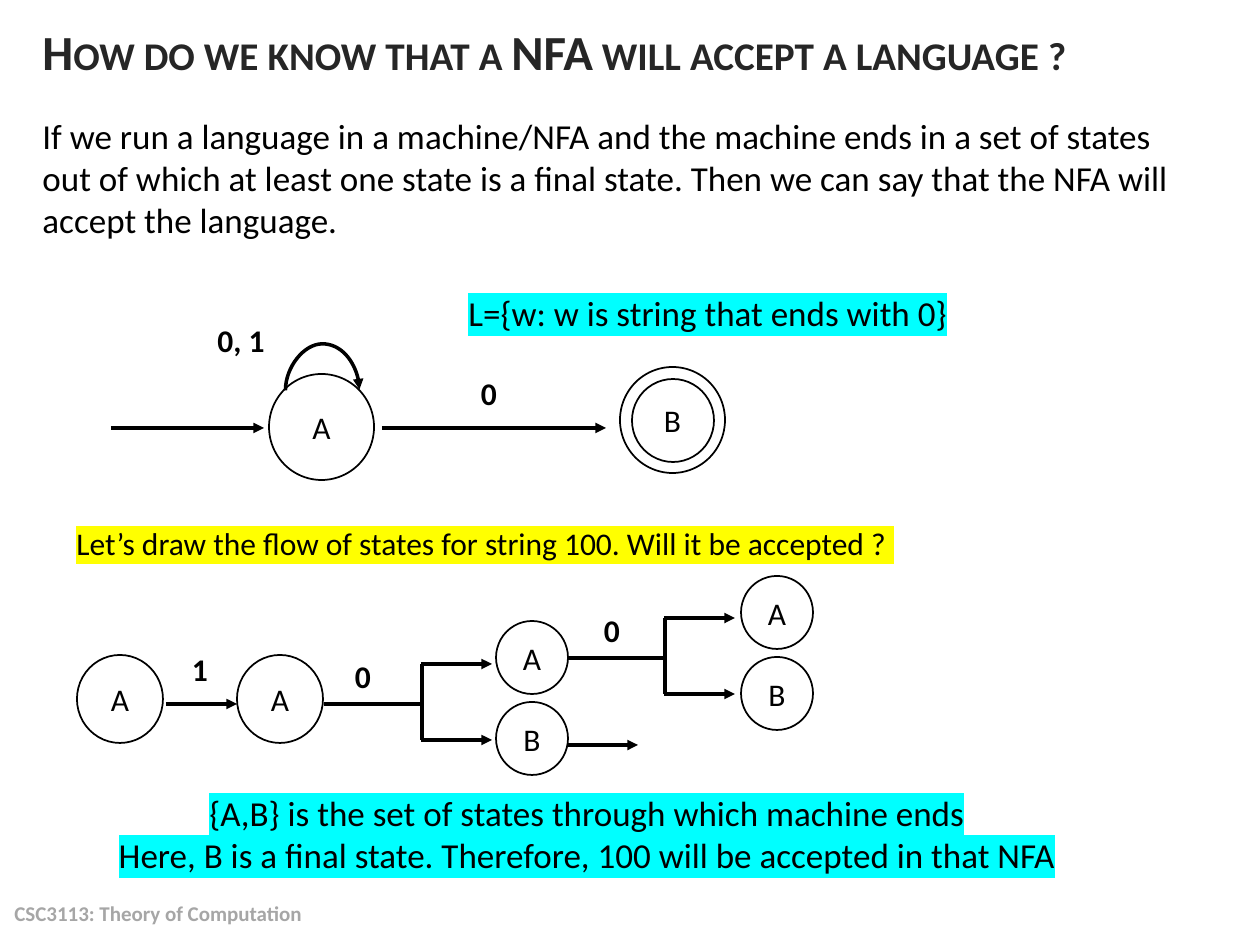
from lxml.etree import SubElement
from pptx import Presentation
from pptx.dml.color import RGBColor
from pptx.enum.shapes import MSO_CONNECTOR, MSO_SHAPE
from pptx.enum.text import MSO_ANCHOR, PP_ALIGN
from pptx.oxml.ns import qn
from pptx.util import Pt

PX = 914400 / 126
FONT = "Calibri"
COLORS = {
    "ink": "000000",
    "title": "262626",
    "footer": "A6A6A6",
    "paper": "FFFFFF",
    "cyan": "00FFFF",
    "yellow": "FFFF00",
}


def px(n):
    return round(n * PX)


def color(name):
    return RGBColor.from_string(COLORS[name])


def add_run(p, text, size, ink="ink", bold=False, highlight=None, small_caps=False):
    r = p.add_run()
    r.text = text
    r.font.size = Pt(size)
    r.font.bold = bold
    r.font.color.rgb = color(ink)
    rPr = r.font._element
    if small_caps:
        rPr.set("cap", "small")
    if highlight:
        mark = SubElement(rPr, qn("a:highlight"))
        SubElement(mark, qn("a:srgbClr")).set("val", COLORS[highlight])
    r.font.name = FONT


def add_text(s, box, lines, size, wrap=True, anchor=MSO_ANCHOR.TOP,
             align=PP_ALIGN.LEFT, **style):
    tf = s.shapes.add_textbox(*map(px, box)).text_frame
    tf.word_wrap = wrap
    tf.vertical_anchor = anchor
    for i, line in enumerate(lines):
        p = tf.add_paragraph() if i else tf.paragraphs[0]
        p.alignment = align
        add_run(p, line, size, **style)


def add_centred(s, kind, box, text, bold=False):
    sp = s.shapes.add_shape(kind, *map(px, box))
    sp.shadow.inherit = False
    tf = sp.text_frame
    tf.margin_left = tf.margin_right = tf.margin_top = tf.margin_bottom = 0
    tf.word_wrap = False
    tf.vertical_anchor = MSO_ANCHOR.MIDDLE
    if text:
        p = tf.paragraphs[0]
        p.alignment = PP_ALIGN.CENTER
        add_run(p, text, 18, bold=bold)
    return sp


def add_state(s, x, y, w, h, name=""):
    sp = add_centred(s, MSO_SHAPE.OVAL, (x, y, w, h), name)
    sp.fill.background()
    sp.line.color.rgb = color("ink")
    sp.line.width = Pt(1)


def add_label(s, x, y, w, h, text):
    sp = add_centred(s, MSO_SHAPE.ROUNDED_RECTANGLE, (x, y, w, h), text, bold=True)
    sp.fill.solid()
    sp.fill.fore_color.rgb = color("paper")
    sp.line.color.rgb = color("paper")
    sp.line.width = Pt(2)


def add_line(s, x1, y1, x2, y2, arrow=True, kind=MSO_CONNECTOR.STRAIGHT):
    c = s.shapes.add_connector(kind, px(x1), px(y1), px(x2), px(y2))
    c.line.color.rgb = color("ink")
    c.line.width = Pt(2)
    if arrow:
        SubElement(c.line._get_or_add_ln(), qn("a:tailEnd")).set("type", "triangle")
    SubElement(c._element.spPr, qn("a:effectLst"))
    return c


def add_self_loop(s, cx, cy, span, rise):
    # A one-pixel-wide curve turned a quarter, so its bend rises above the state
    c = add_line(s, cx + 1, cy + span // 2, cx, cy - span // 2,
                 kind=MSO_CONNECTOR.CURVE)
    spPr = c._element.spPr
    spPr.find(qn("a:xfrm")).set("rot", str(90 * 60000))
    geom = spPr.find(qn("a:prstGeom"))
    av = geom.find(qn("a:avLst"))
    if av is None:
        av = SubElement(geom, qn("a:avLst"))
    gd = SubElement(av, qn("a:gd"))
    gd.set("name", "adj1")
    gd.set("fmla", f"val {rise * 100000}")


def add_fork(s, x, y):
    # Stem that splits into an upper and a lower arrow
    split, top, bottom = x + 98, y - 40, y + 36
    add_line(s, x, y, split, y, arrow=False)
    add_line(s, split, top, split, bottom, arrow=False)
    for branch in (top, bottom):
        add_line(s, split - 1, branch, split + 70, branch)


def main():
    prs = Presentation()
    prs.slide_width, prs.slide_height = px(1260), px(945)
    s = prs.slides.add_slide(prs.slide_layouts[6])

    # Footer, title and explanation
    add_text(s, (2, 888, 844, 50), ["CSC3113: Theory of Computation"], 12,
             anchor=MSO_ANCHOR.MIDDLE, ink="footer", bold=True)
    add_text(s, (30, 3, 1217, 96),
             ["How do we know that a NFA will accept a language ?"], 28,
             anchor=MSO_ANCHOR.MIDDLE, ink="title", bold=True, small_caps=True)
    add_text(s, (30, 108, 1177, 140),
             ["If we run a language in a machine/NFA and the machine ends in a set "
              "of states out of which at least one state is a final state. Then we "
              "can say that the NFA will accept the language."], 20)

    # The NFA: state A loops, final state B has a double ring
    add_line(s, 111, 428, 264, 428)
    add_state(s, 269, 374, 105, 106, "A")
    add_self_loop(s, 322, 390, 74, 47)
    add_state(s, 620, 367, 105, 106, "B")
    add_state(s, 632, 379, 82, 83)
    add_line(s, 382, 428, 606, 428)
    add_label(s, 200, 314, 82, 52, "0, 1")
    add_label(s, 448, 367, 82, 52, "0")

    # Language and question
    add_text(s, (456, 285, 508, 55), ["L={w: w is string that ends with 0}"], 20,
             wrap=False, highlight="cyan")
    add_text(s, (64, 518, 845, 50),
             ["Let’s draw the flow of states for string 100. Will it be accepted ? "],
             18, wrap=False, highlight="yellow")

    # Flow of states for 100
    for x in (77, 237):
        add_state(s, x, 655, 86, 88, "A")
    for x, y in ((496, 621), (741, 576)):
        add_state(s, x, y, 72, 73, "A")
        add_state(s, x, y + 81, 72, 73, "B")
    add_line(s, 166, 704, 237, 704)
    add_fork(s, 324, 704)
    add_fork(s, 567, 658)
    add_line(s, 567, 745, 638, 745)
    for x, y, symbol in ((175, 647, "1"), (338, 654, "0"), (587, 608, "0")):
        add_label(s, x, y, 50, 43, symbol)

    # Conclusion
    add_text(s, (81, 785, 1012, 97),
             ["{A,B} is the set of states through which machine ends",
              "Here, B is a final state. Therefore, 100 will be accepted in that NFA"],
             20, align=PP_ALIGN.CENTER, highlight="cyan")

    prs.save("out.pptx")


if __name__ == "__main__":
    main()
